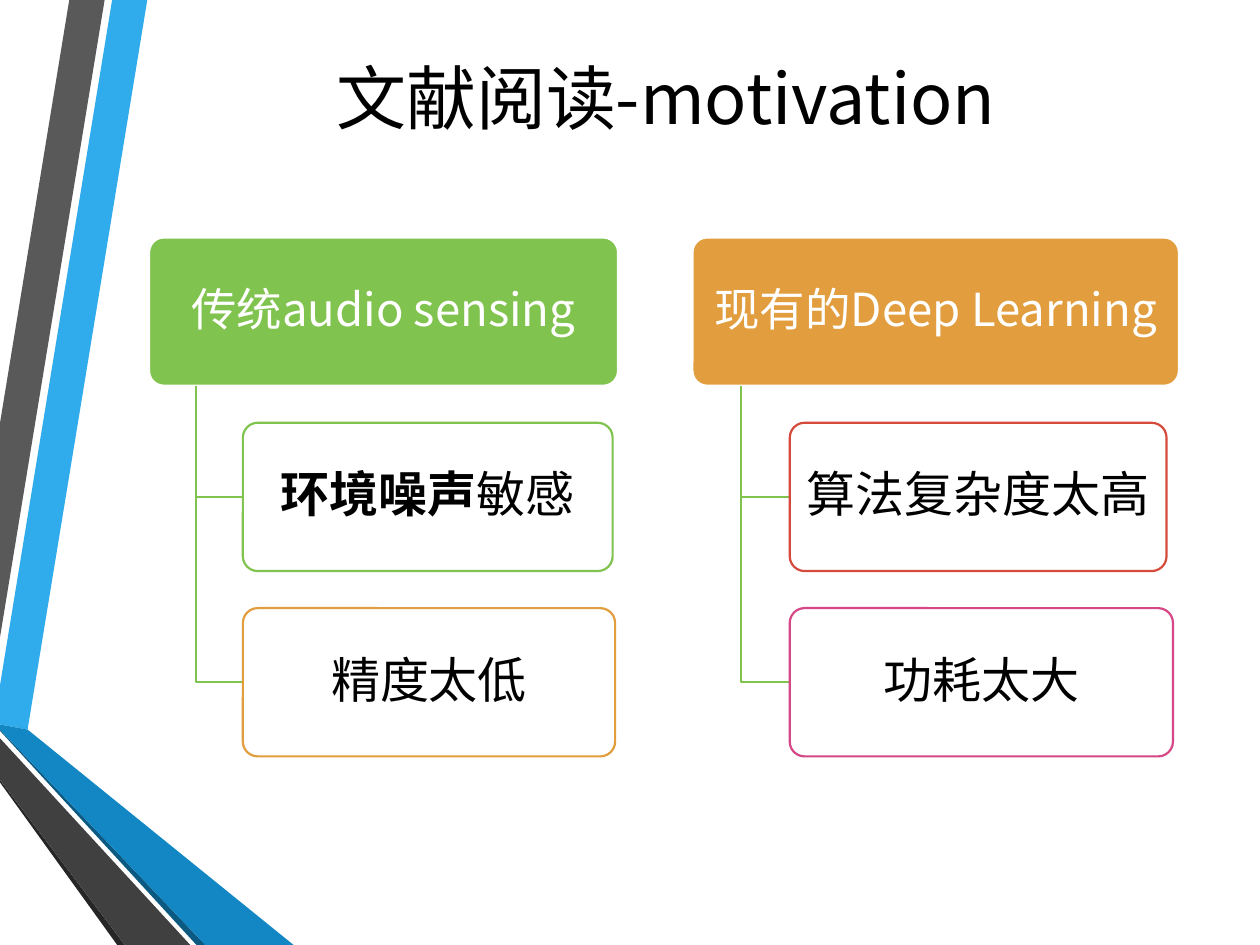
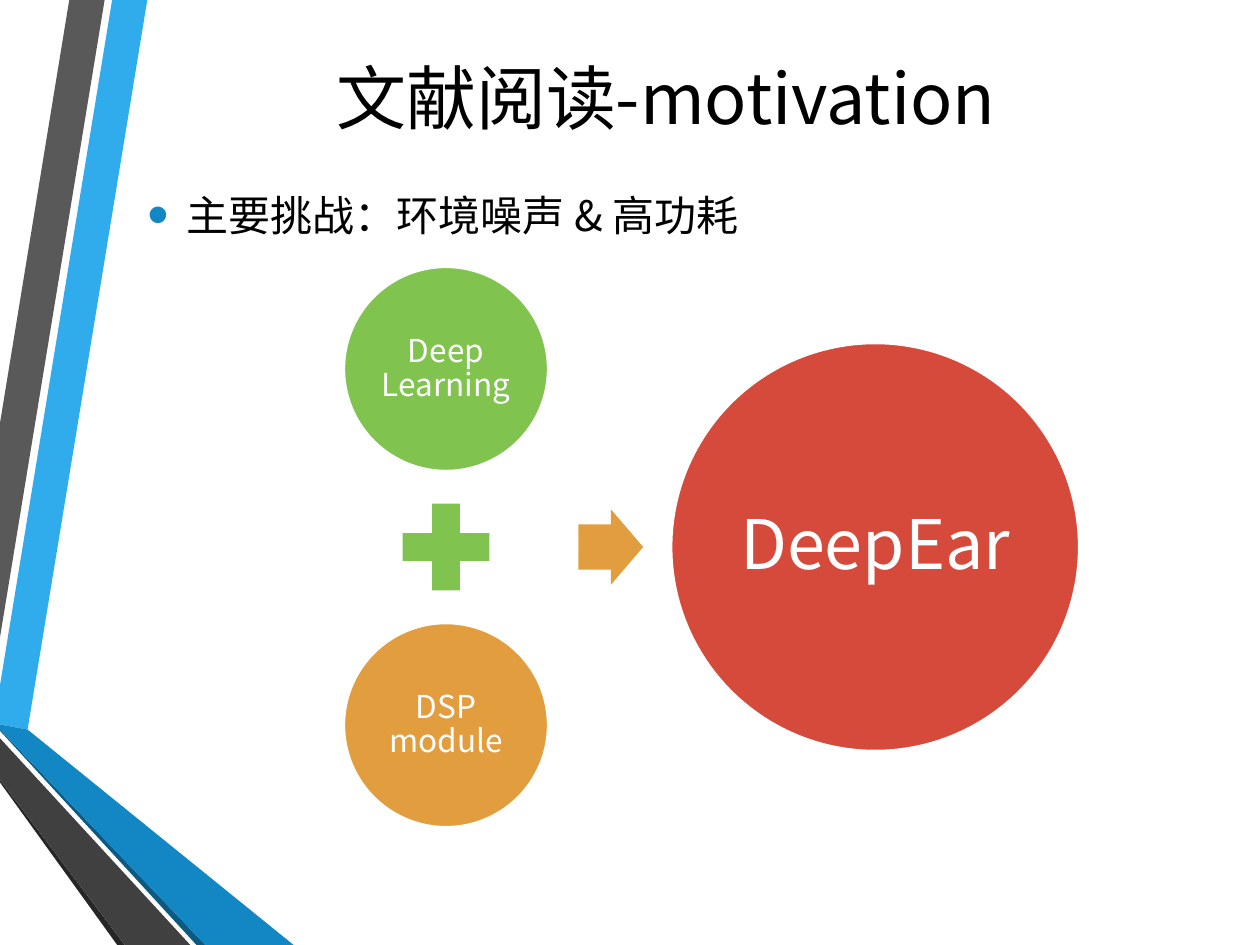
from collections import namedtuple

from lxml import etree
from pptx import Presentation
from pptx import util as u
from pptx.dml.color import RGBColor
from pptx.enum import shapes, text
from pptx.oxml import ns

Pt = u.Pt
Box = namedtuple("Box", "left top width height")

FONT = "Noto Sans CJK SC"
BLACK = RGBColor(0x00, 0x00, 0x00)
WHITE = RGBColor(0xFF, 0xFF, 0xFF)
GREEN = RGBColor(0x80, 0xC3, 0x4F)
ORANGE = RGBColor(0xE2, 0x9D, 0x3E)
RED = RGBColor(0xD6, 0x4A, 0x3B)
PINK = RGBColor(0xD6, 0x47, 0x87)
SKY = RGBColor(0x30, 0xAC, 0xEC)
BLUE = RGBColor(0x12, 0x87, 0xC3)
DEEP_BLUE = RGBColor(0x0C, 0x5A, 0x82)
GRAY = RGBColor(0x59, 0x59, 0x59)
DARK_GRAY = RGBColor(0x40, 0x40, 0x40)
CHARCOAL = RGBColor(0x26, 0x26, 0x26)

TITLE_BOX = Box(77, 18.7, 607, 72.7)
BODY_BOX = Box(77, 91.4, 607, 381)
LINE_WIDTH = 1.25

BANDS = [
    (SKY, [(0, 391.7), (0, 414), (15.8, 416.9), (84.2, 0), (64.1, 0)]),
    (GRAY, [(59.8, 0), (39.6, 0), (0, 241.9), (0, 364.3)]),
    (CHARCOAL, [(0, 445.7), (0, 447.1), (67, 540), (71.3, 540)]),
    (DEEP_BLUE, [(0, 416.9), (0, 417.6), (112.3, 540), (117.4, 540)]),
    (BLUE, [(0, 416.9), (117.4, 540), (167.8, 540), (15.8, 416.9), (0, 414)]),
    (DARK_GRAY, [(0, 445.7), (71.3, 540), (108.7, 540), (0, 421.9)]),
]


def add_child(parent, tag, **attributes):
    return etree.SubElement(parent, ns.qn(tag), attributes)


def move_to(shape, box):
    shape.left, shape.top, shape.width, shape.height = map(Pt, box)


def add_run(paragraph, content, size, color, bold=False):
    run = paragraph.add_run()
    run.text = content
    run.font.size = Pt(size)
    run.font.name = FONT
    run.font.bold = bold
    run.font.color.rgb = color
    add_child(run.font._element, "a:ea", typeface=FONT)


def paint(shape, fill=None, line=None):
    shape.shadow.inherit = False
    if fill is None:
        shape.fill.background()
    else:
        shape.fill.solid()
        shape.fill.fore_color.rgb = fill
    if line is None:
        shape.line.fill.background()
    else:
        shape.line.color.rgb = line
        shape.line.width = Pt(LINE_WIDTH)


def add_outline(slide, points, close, fill=None, line=None):
    corners = [(Pt(x), Pt(y)) for x, y in points]
    builder = slide.shapes.build_freeform(*corners[0])
    builder.add_line_segments(corners[1:], close=close)
    shape = builder.convert_to_shape()
    paint(shape, fill, line)
    return shape


def add_figure(slide, kind, box, fill, line=None):
    shape = slide.shapes.add_shape(kind, *map(Pt, box))
    paint(shape, fill, line)
    return shape


def add_label(shape, runs, size, color, inset):
    frame = shape.text_frame
    frame.word_wrap = True
    frame.vertical_anchor = text.MSO_ANCHOR.MIDDLE
    frame.margin_left = frame.margin_right = Pt(inset)
    frame.margin_top = frame.margin_bottom = Pt(inset)
    paragraph = frame.paragraphs[0]
    paragraph.alignment = text.PP_ALIGN.CENTER
    paragraph.line_spacing = 0.9
    for content, bold in runs:
        add_run(paragraph, content, size, color, bold)


def add_bands_to_master(presentation, slide):
    tree = presentation.slide_master.shapes.element
    for position, (color, points) in enumerate(BANDS, start=2):
        band = add_outline(slide, points, True, fill=color)
        tree.insert(position, band._element)


def add_title(slide, content):
    title = slide.shapes.title
    move_to(title, TITLE_BOX)
    title.text_frame.vertical_anchor = text.MSO_ANCHOR.MIDDLE
    paragraph = title.text_frame.paragraphs[0]
    paragraph.alignment = text.PP_ALIGN.CENTER
    add_run(paragraph, content, 40, BLACK)


def add_bullet(slide, content):
    body = slide.placeholders[1]
    move_to(body, BODY_BOX)
    frame = body.text_frame
    frame.auto_size = text.MSO_AUTO_SIZE.NONE
    frame.vertical_anchor = text.MSO_ANCHOR.TOP
    frame.margin_top = Pt(17)
    paragraph = frame.paragraphs[0]
    paragraph.space_before = Pt(0)
    paragraph.space_after = Pt(6)
    add_run(paragraph, content, 24, BLACK)
    properties = paragraph._element.get_or_add_pPr()
    properties.set("marL", str(Pt(22.5)))
    properties.set("indent", str(-Pt(22.5)))
    add_child(add_child(properties, "a:buClr"), "a:srgbClr", val=str(BLUE))
    add_child(properties, "a:buSzPct", val="145000")
    add_child(properties, "a:buFont", typeface="Arial")
    add_child(properties, "a:buChar", char="•")


def add_card(slide, box, fill, line):
    card = add_figure(slide, shapes.MSO_SHAPE.ROUNDED_RECTANGLE, box, fill, line)
    card.adjustments[0] = 0.1
    return card


def add_branch(slide, box, heading, color, problems):
    height = box.height / 3.5
    pitch = height * 1.25
    stem = box.left + box.width * 0.1
    indent = box.left + box.width * 0.2
    header = add_card(slide, Box(box.left, box.top, box.width, height), color, WHITE)
    add_label(header, [(heading, False)], 26, WHITE, 3.5)
    for row, (runs, border, width) in enumerate(problems, start=1):
        top = box.top + row * pitch
        middle = top + height / 2
        elbow = [(stem, box.top + height), (stem, middle), (indent, middle)]
        add_outline(slide, elbow, False, line=GREEN)
        card = add_card(slide, Box(indent, top, width, height), WHITE, border)
        add_child(card.fill.fore_color._xFill[0], "a:alpha", val="90000")
        add_label(card, runs, 28, BLACK, 4)


def add_circle(slide, left, top, diameter, color, content, size):
    box = Box(left, top, diameter, diameter)
    circle = add_figure(slide, shapes.MSO_SHAPE.OVAL, box, color, WHITE)
    add_label(circle, [(content, False)], size, WHITE, diameter * 0.018)


def add_equation(slide, box, terms, result):
    diameter = box.height * 0.364
    middle = box.top + box.height / 2
    tops = [box.top, box.top + box.height - diameter]
    for top, (content, color) in zip(tops, terms):
        add_circle(slide, box.left, top, diameter, color, content, 18)

    side = diameter * 0.58
    plus_box = Box(box.left + (diameter - side) / 2, middle - side / 2, side, side)
    add_figure(slide, shapes.MSO_SHAPE.MATH_PLUS, plus_box, GREEN)

    arrow_box = Box(box.left + diameter * 1.15, middle - 21.6, 37, 43.2)
    arrow = add_figure(slide, shapes.MSO_SHAPE.RIGHT_ARROW, arrow_box, ORANGE)
    arrow.adjustments[0] = 0.6
    arrow.adjustments[1] = 0.5

    content, color = result
    result_left = box.left + box.width - diameter * 2
    add_circle(slide, result_left, middle - diameter, diameter * 2, color, content, 39)


def build_problem_slide(slide):
    add_title(slide, "文献阅读-motivation")
    add_branch(slide, Box(85.2, 135.7, 268, 296.5), "传统audio sensing", GREEN, [
        ([("环境噪声", True), ("敏感", False)], GREEN, 211.3),
        ([("精度太低", False)], ORANGE, 212.7),
    ])
    add_branch(slide, Box(395.7, 135.7, 278, 296.5), "现有的Deep Learning", ORANGE, [
        ([("算法复杂度太高", False)], RED, 215.3),
        ([("功耗太大", False)], PINK, 219),
    ])


def build_solution_slide(slide):
    add_title(slide, "文献阅读-motivation")
    add_bullet(slide, "主要挑战：环境噪声 & 高功耗")
    terms = [("Deep Learning", GREEN), ("DSP module", ORANGE)]
    add_equation(slide, Box(196.6, 152.6, 420, 320), terms, ("DeepEar", RED))


def main():
    presentation = Presentation()
    presentation.slide_width, presentation.slide_height = Pt(720), Pt(540)
    layouts = presentation.slide_layouts
    problem_slide = presentation.slides.add_slide(layouts.get_by_name("Title Only"))
    add_bands_to_master(presentation, problem_slide)
    build_problem_slide(problem_slide)
    solution_layout = layouts.get_by_name("Title and Content")
    build_solution_slide(presentation.slides.add_slide(solution_layout))
    presentation.save("out.pptx")


if __name__ == "__main__":
    main()
